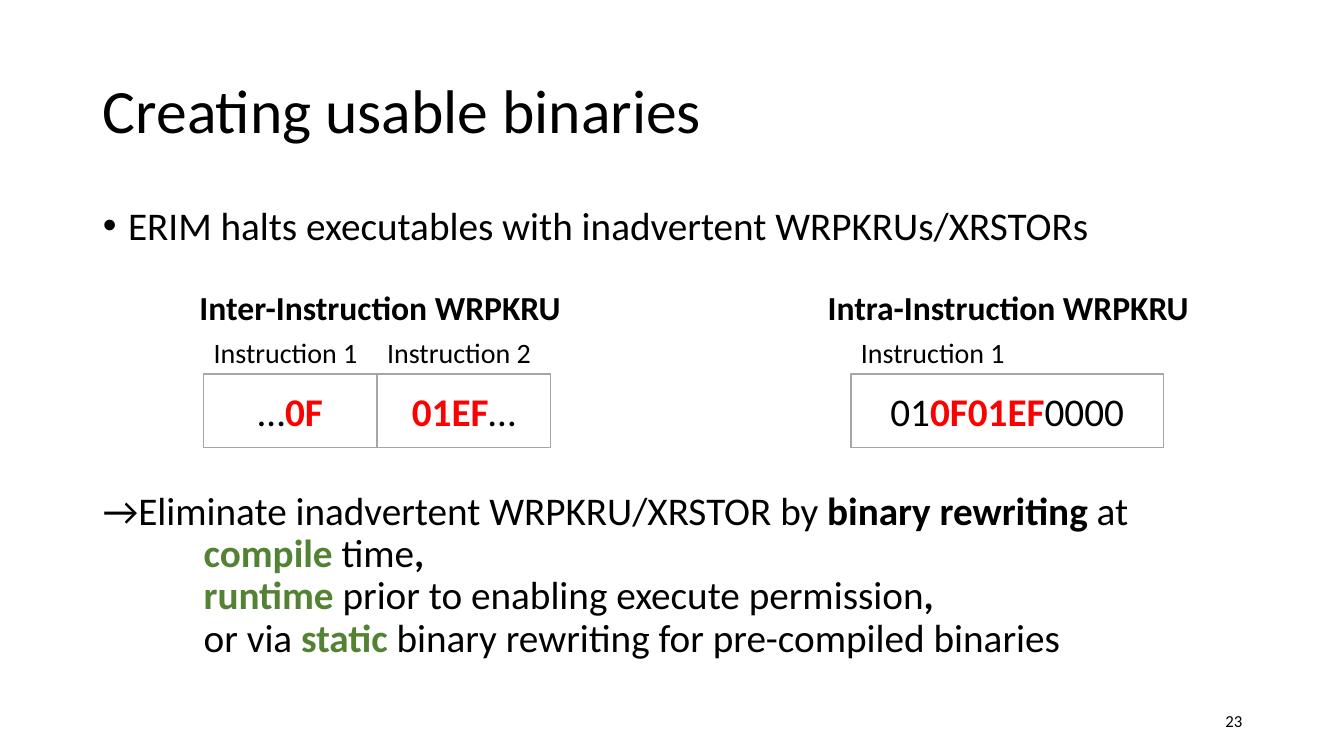
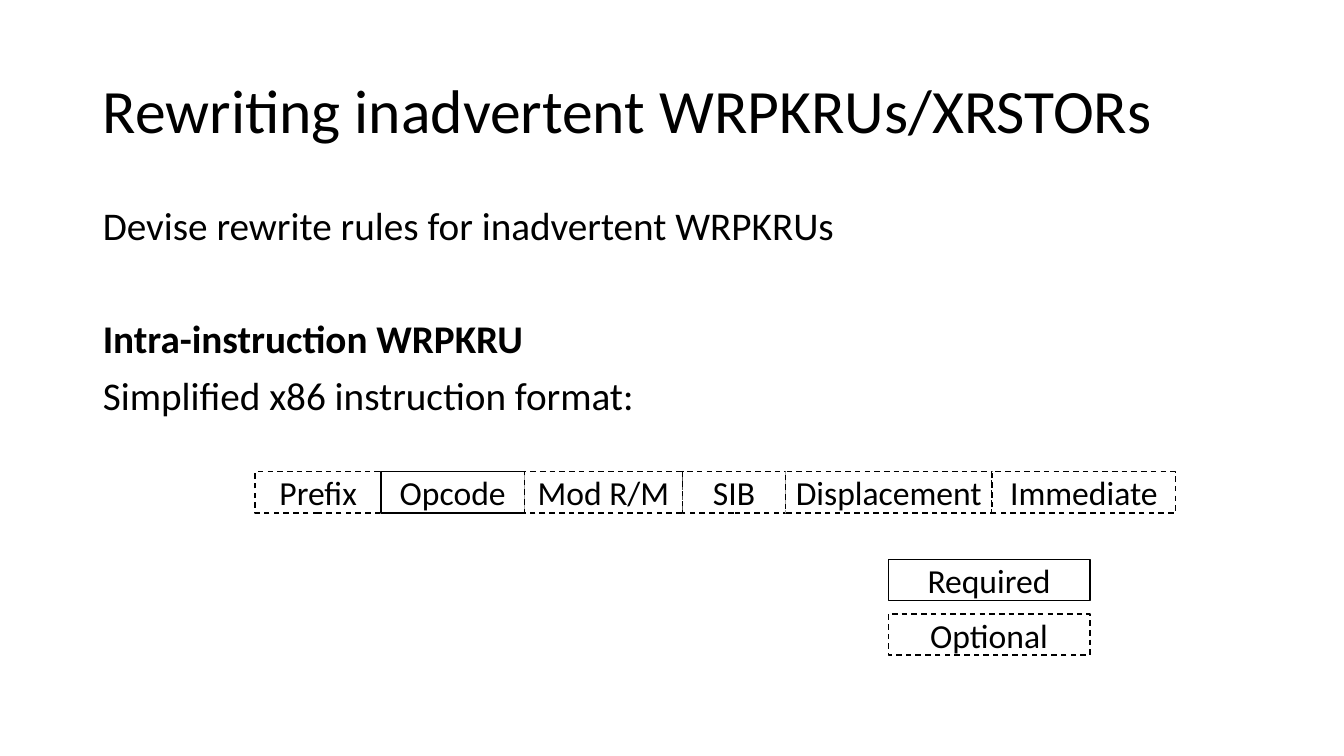
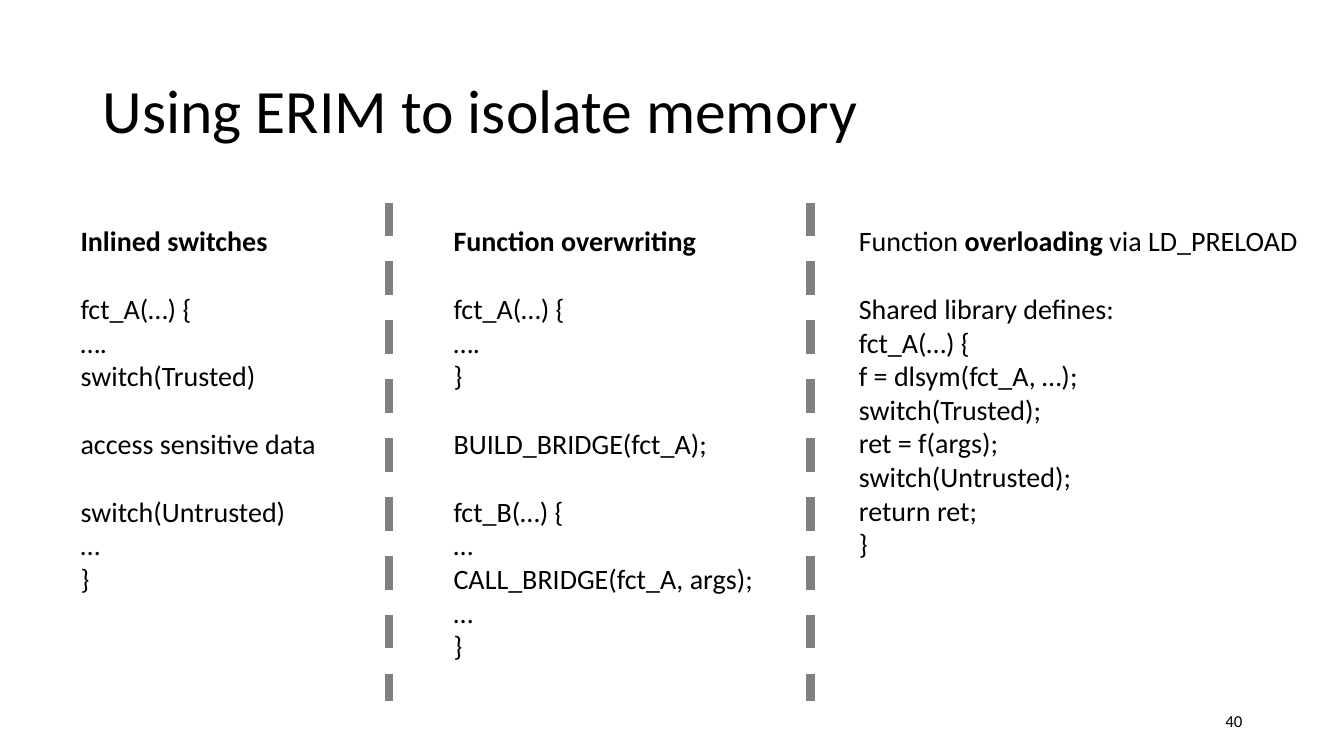
from collections import namedtuple

from lxml.etree import SubElement
from pptx import Presentation
from pptx.dml.color import RGBColor
from pptx.enum.dml import MSO_LINE
from pptx.enum.shapes import MSO_CONNECTOR, MSO_SHAPE
from pptx.enum.text import MSO_ANCHOR, MSO_AUTO_SIZE, PP_ALIGN
from pptx.oxml.ns import qn
from pptx.util import Inches, Pt

BLACK = RGBColor(0x00, 0x00, 0x00)
WHITE = RGBColor(0xFF, 0xFF, 0xFF)
RED = RGBColor(0xFF, 0x00, 0x00)
GREEN = RGBColor(0x54, 0x82, 0x35)
GRAY = RGBColor(0xA5, 0xA5, 0xA5)
DARK = RGBColor(0x80, 0x80, 0x80)
FONT = "Calibri"

TITLE = (0.92, 0.4, 11.5, 1.45)
BODY = (0.92, 2, 11.5, 4.76)
NUMBER = (9.42, 6.95, 3, 0.4)

# A run is plain text or (text, colour) for bold.
# An empty string in a list of paragraphs leaves one line free.
Par = namedtuple("Par", "runs mark left hang tight", defaults=(None, 0, 0, False))


def inset(*runs):
    return Par(runs, left=1, tight=True)


USABLE = [
    Par(["ERIM halts executables with inadvertent WRPKRUs/XRSTORs"],
        mark="•", left=0.25, hang=0.25),
    "", "", "", "",
    Par(["→Eliminate inadvertent WRPKRU/XRSTOR by ",
         ("binary rewriting ", BLACK), "at"]),
    inset(("compile ", GREEN), "time", (",", BLACK)),
    inset(("runtime ", GREEN), "prior to enabling execute permission", (",", BLACK)),
    inset("or via", (" static ", GREEN), "binary rewriting for pre-compiled binaries"),
]

# heading, its left, cells' left, cell width, cells
CASES = [
    ("Inter-Instruction WRPKRU", 1.88, 2.02, 1.72,
     [["…", ("0F", RED)], [("01EF", RED), "…"]]),
    ("Intra-Instruction WRPKRU", 8.11, 8.44, 3.1,
     [["01", ("0F01EF", RED), "0000"]]),
]

RULES = [
    "Devise rewrite rules for inadvertent WRPKRUs",
    "",
    Par([("Intra-instruction WRPKRU", BLACK)]),
    "Simplified x86 instruction format:",
]
# name, width, optional
FIELDS = [
    ("Prefix", 1.25, True), ("Opcode", 1.42, False), ("Mod R/M", 1.57, True),
    ("SIB", 1.02, True), ("Displacement", 2.05, True), ("Immediate", 1.82, True),
]
LEGEND = [("Required", False), ("Optional", True)]

# left, width, lines
COLUMNS = [
    (0.7, 3.08, [
        Par([("Inlined switches", BLACK)]), "",
        "fct_A(…) {", "….", "switch(Trusted)", "",
        "access sensitive data", "",
        "switch(Untrusted)", "…", "}"]),
    (4.4, 3.39, [
        Par([("Function overwriting", BLACK)]), "",
        "fct_A(…) {", "….", "}", "",
        "BUILD_BRIDGE(fct_A);", "",
        "fct_B(…) {", "…", "CALL_BRIDGE(fct_A, args);", "…", "}"]),
    (8.42, 4.66, [
        Par(["Function ", ("overloading", BLACK), " via LD_PRELOAD"]), "",
        "Shared library defines:", "fct_A(…) {", "f = dlsym(fct_A, …);",
        "switch(Trusted);", "ret = f(args);", "switch(Untrusted);",
        "return ret;", "}"]),
]
BARS = [3.86, 8.04]


def place(shape, at):
    shape.left, shape.top, shape.width, shape.height = map(Inches, at)


def write(frame, pars, size=20, align=PP_ALIGN.LEFT, anchor=MSO_ANCHOR.TOP,
          space=1.0, before=0, bold=False):
    """Fill a text frame; free lines become space before the next paragraph."""
    frame.word_wrap = True
    frame.auto_size = MSO_AUTO_SIZE.NONE
    frame.vertical_anchor = anchor
    line = size * 1.22 * space
    free, first = 0, True
    for item in pars:
        if not item:
            free += 1
            continue
        par = item if isinstance(item, Par) else Par([item])
        p = frame.paragraphs[0] if first else frame.add_paragraph()
        props = p._p.get_or_add_pPr()
        props.set("marL", str(Inches(par.left)))
        props.set("indent", str(-Inches(par.hang)))
        if par.mark:
            SubElement(props, qn("a:buChar")).set("char", par.mark)
        else:
            SubElement(props, qn("a:buNone"))
        p.alignment = align
        p.line_spacing = space
        gap = 0 if first or par.tight else before + free * (line + before)
        p.space_before = Pt(round(gap, 1))
        for run in par.runs:
            text, color = (run, None) if isinstance(run, str) else run
            r = p.add_run()
            r.text = text
            r.font.name, r.font.size = FONT, Pt(size)
            r.font.bold = bold or color is not None
            r.font.color.rgb = color or BLACK
        free, first = 0, False


def label(slide, at, pars, **fmt):
    box = slide.shapes.add_textbox(*map(Inches, at))
    write(box.text_frame, pars, **fmt)


def cell(slide, at, par, size, color=BLACK, dash=False):
    box = slide.shapes.add_shape(MSO_SHAPE.RECTANGLE, *map(Inches, at))
    box.shadow.inherit = False
    box.fill.solid()
    box.fill.fore_color.rgb = WHITE
    box.line.color.rgb = color
    box.line.width = Pt(1)
    if dash:
        box.line.dash_style = MSO_LINE.DASH
    frame = box.text_frame
    frame.margin_left = frame.margin_right = Inches(0.05)
    write(frame, [par], size=size, align=PP_ALIGN.CENTER, anchor=MSO_ANCHOR.MIDDLE)


def bar(slide, x, top, end):
    rule = slide.shapes.add_connector(
        MSO_CONNECTOR.STRAIGHT, *map(Inches, (x, top, x, end)))
    rule.line.color.rgb = DARK
    rule.line.width = Pt(6)
    rule.line.dash_style = MSO_LINE.DASH
    SubElement(rule._element.spPr, qn("a:effectLst"))


def start(deck, title, body=None, number=None):
    """Add a slide with its title, list and page number."""
    slide = deck.slides.add_slide(deck.slide_layouts[1 if body else 5])
    head = slide.shapes.title
    place(head, TITLE)
    write(head.text_frame, [title], size=44, anchor=MSO_ANCHOR.MIDDLE, space=0.9)
    if body:
        main = slide.placeholders[1]
        place(main, BODY)
        write(main.text_frame, body, size=28, space=0.9, before=10)
    if number:
        label(slide, NUMBER, [number], size=12, align=PP_ALIGN.RIGHT,
              anchor=MSO_ANCHOR.MIDDLE)
    return slide


def usable(deck):
    slide = start(deck, "Creating usable binaries", USABLE, "23")
    for head, edge, left, wide, cells in CASES:
        label(slide, (edge, 2.8, 4.64, 0.5), [head], size=24, bold=True)
        for i, runs in enumerate(cells):
            x = left + i * wide
            label(slide, (x, 3.28, 1.72, 0.44), [f"Instruction {i + 1}"])
            cell(slide, (x, 3.71, wide, 0.73), Par(runs), 28, GRAY)


def rewrite(deck):
    slide = start(deck, "Rewriting inadvertent WRPKRUs/XRSTORs", RULES)
    x = 2.53
    for name, wide, dash in FIELDS:
        cell(slide, (x, 4.68, wide, 0.41), name, 24, dash=dash)
        x += wide
    for i, (name, dash) in enumerate(LEGEND):
        cell(slide, (8.81, 5.55 + i * 0.54, 2, 0.41), name, 24, dash=dash)


def isolate(deck):
    slide = start(deck, "Using ERIM to isolate memory", number="40")
    for left, wide, lines in COLUMNS:
        label(slide, (left, 2.17, wide, 0.1 + len(lines) * 0.34), lines)
    for x in BARS:
        bar(slide, x, 2.01, 6.95)


def main():
    deck = Presentation()
    deck.slide_width, deck.slide_height = Inches(13.33), Inches(7.5)
    for build in (usable, rewrite, isolate):
        build(deck)
    deck.save("out.pptx")


if __name__ == "__main__":
    main()
